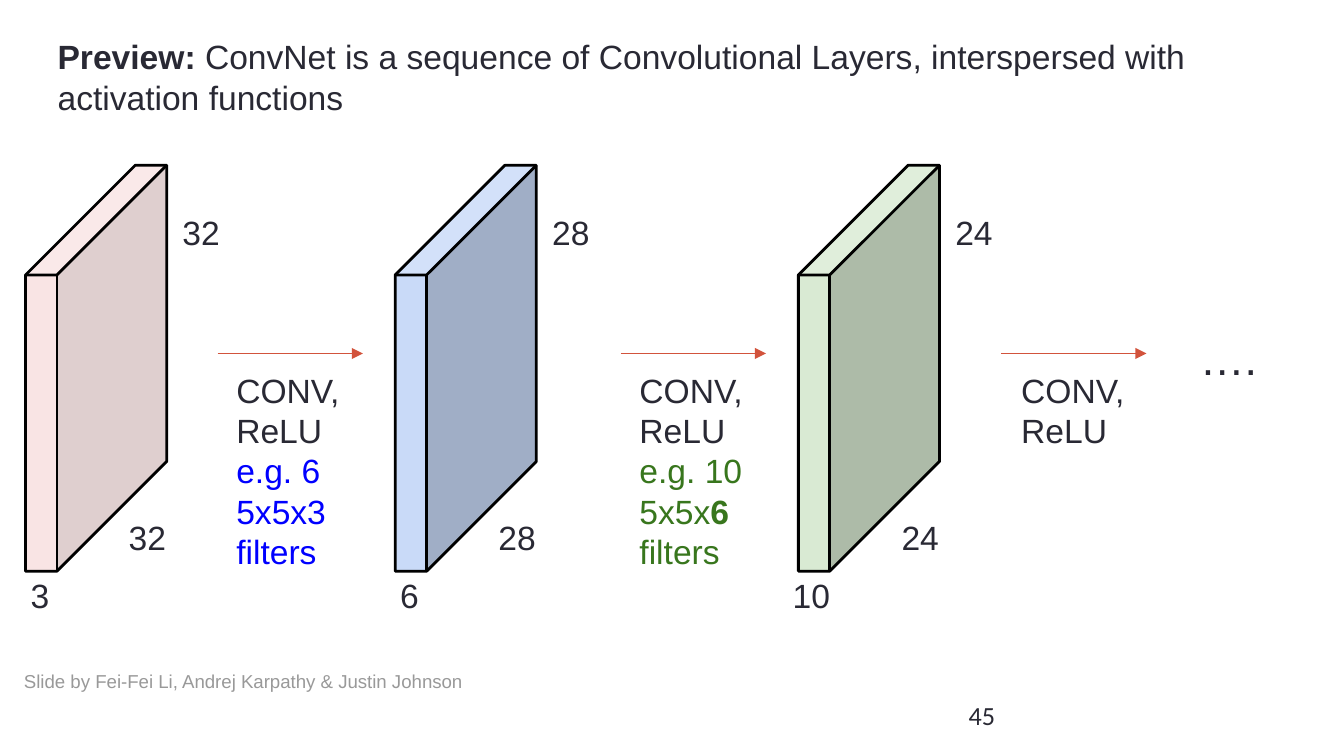
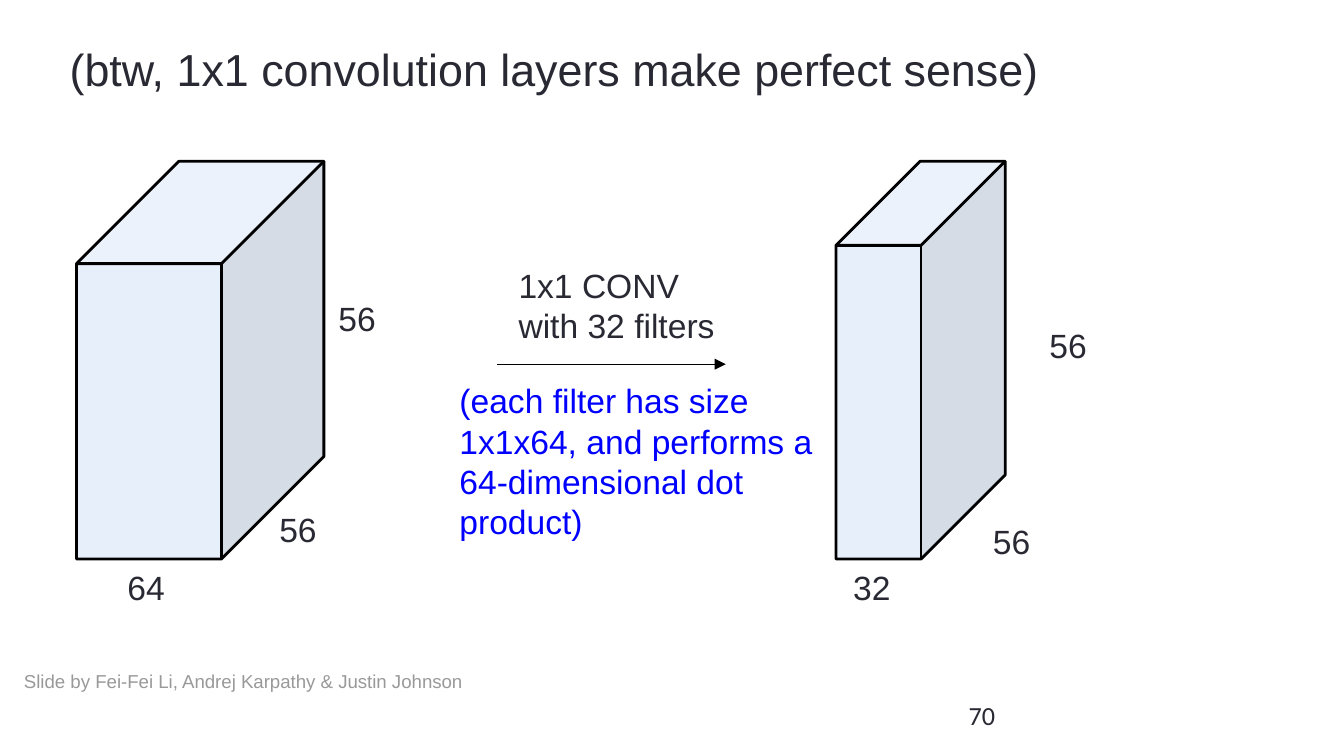
from dataclasses import dataclass

import pptx
import pptx.dml.color
import pptx.enum.shapes
import pptx.enum.text
import pptx.oxml
import pptx.oxml.ns
import pptx.presentation
import pptx.slide
import pptx.util

RGBColor = pptx.dml.color.RGBColor
Anchor = pptx.enum.text.MSO_ANCHOR

INK = RGBColor(0x29, 0x29, 0x34)
CREDIT_GREY = RGBColor(0x99, 0x99, 0x99)
BLACK = RGBColor(0x00, 0x00, 0x00)
ARROW_RED = RGBColor(0xD2, 0x53, 0x3C)
NOTE_BLUE = RGBColor(0x00, 0x00, 0xFF)
NOTE_GREEN = RGBColor(0x38, 0x76, 0x1D)
PINK = RGBColor(0xF4, 0xCC, 0xCC)
BLUE = RGBColor(0xC9, 0xDA, 0xF8)
GREEN = RGBColor(0xD9, 0xEA, 0xD3)

EMU_PER_PX = 9144  # 100 px to the inch
SLIDE_WIDTH = 1000
PADDING = 10
CREDIT = "Slide by Fei-Fei Li, Andrej Karpathy & Justin Johnson"


@dataclass(frozen=True)
class Run:
    text: str
    bold: bool = False
    color: RGBColor | None = None


@dataclass(frozen=True)
class Label:
    text: str
    left: int
    top: int


@dataclass(frozen=True)
class Volume:
    """A block of activations with its depth, side and height labels."""
    left: int
    top: int
    width: int
    height: int
    slant: float
    fill: RGBColor
    labels: tuple[Label, ...]
    opacity: int = 100


@dataclass(frozen=True)
class Step:
    """An arrow between volumes with the operation under it."""
    left: int
    text_left: int
    text_width: int
    filters: tuple[Run, ...] = ()


Paragraph = tuple[Run, ...]


def px(length: int) -> pptx.util.Emu:
    return pptx.util.Emu(length * EMU_PER_PX)


def add_text(slide: pptx.slide.Slide, text: str | list[Paragraph],
             left: int, top: int, width: int, height: int, *,
             size: int = 18, color: RGBColor = INK, font: str = "Arial",
             anchor: Anchor = Anchor.TOP) -> None:
    """Write a string, or paragraphs made of runs, in a padded box."""
    frame = slide.shapes.add_textbox(px(left), px(top), px(width), px(height)).text_frame
    frame.word_wrap = True
    frame.vertical_anchor = anchor
    frame.margin_left = frame.margin_right = px(PADDING)
    frame.margin_top = frame.margin_bottom = px(PADDING)
    paragraphs = [(Run(text),)] if isinstance(text, str) else text
    for index, runs in enumerate(paragraphs):
        paragraph = frame.add_paragraph() if index else frame.paragraphs[0]
        for part in runs:
            run = paragraph.add_run()
            run.text = part.text
            run.font.name = font
            run.font.size = pptx.util.Pt(size)
            run.font.bold = part.bold
            run.font.color.rgb = part.color or color


def add_arrow(slide: pptx.slide.Slide, left: int, right: int, y: int,
              color: RGBColor) -> None:
    arrow = slide.shapes.add_connector(
        pptx.enum.shapes.MSO_CONNECTOR.STRAIGHT, px(left), px(y), px(right), px(y))
    arrow.line.color.rgb = color
    arrow.line.width = pptx.util.Pt(0.75)
    head = pptx.oxml.parse_xml(
        f'<a:tailEnd {pptx.oxml.ns.nsdecls("a")} type="triangle"/>')
    properties = arrow._element.spPr
    properties.find(pptx.oxml.ns.qn("a:ln")).append(head)
    properties.append(pptx.oxml.parse_xml(
        f'<a:effectLst {pptx.oxml.ns.nsdecls("a")}/>'))


def add_volume(slide: pptx.slide.Slide, volume: Volume) -> None:
    cube = slide.shapes.add_shape(
        pptx.enum.shapes.MSO_SHAPE.CUBE, px(volume.left), px(volume.top),
        px(volume.width), px(volume.height))
    cube.adjustments[0] = volume.slant
    cube.shadow.inherit = False
    cube.fill.solid()
    cube.fill.fore_color.rgb = volume.fill
    if volume.opacity < 100:
        color = cube._element.spPr.find(".//" + pptx.oxml.ns.qn("a:srgbClr"))
        color.append(pptx.oxml.parse_xml(
            f'<a:alpha {pptx.oxml.ns.nsdecls("a")} val="{volume.opacity * 1000}"/>'))
    cube.line.color.rgb = BLACK
    cube.line.width = pptx.util.Pt(1.5)
    for label in volume.labels:
        add_text(slide, label.text, label.left, label.top, 54, 36)


def add_base_slide(deck: pptx.presentation.Presentation, number: int) -> pptx.slide.Slide:
    """Add a blank slide with the credit line and slide number."""
    slide = deck.slides.add_slide(deck.slide_layouts[6])
    add_text(slide, CREDIT, 8, 485, 361, 43, size=10, color=CREDIT_GREY,
             anchor=Anchor.MIDDLE)
    add_text(slide, str(number), 711, 510, 60, 44, size=14, font="Calibri",
             anchor=Anchor.MIDDLE)
    return slide


def layer_volume(left: int, fill: RGBColor, side: str, depth: str,
                 depth_left: int, opacity: int = 100) -> Volume:
    """Place a thin layer whose side labels follow its left edge."""
    labels = (Label(side, left + 67, 375), Label(side, left + 107, 148),
              Label(depth, depth_left, 418))
    return Volume(left, 123, 105, 302, 0.777, fill, labels, opacity)


def build_layer_sequence(deck: pptx.presentation.Presentation) -> None:
    slide = add_base_slide(deck, 45)
    title = (Run("Preview: ", bold=True),
             Run("ConvNet is a sequence of Convolutional Layers, "
                 "interspersed with activation functions"))
    add_text(slide, [title], 33, 17, 935, 108)
    layers = (layer_volume(19, PINK, "32", "3", 13, opacity=52),
              layer_volume(294, BLUE, "28", "6", 288),
              layer_volume(594, GREEN, "24", "10", 580))
    for layer in layers:
        add_volume(slide, layer)
    steps = (
        Step(162, 166, 108, (Run("e.g. 6 5x5x3 filters", color=NOTE_BLUE),)),
        Step(462, 466, 116, (Run("e.g. 10 5x5x", color=NOTE_GREEN),
                             Run("6 ", bold=True, color=NOTE_GREEN),
                             Run("filters", color=NOTE_GREEN))),
        Step(745, 750, 108),
    )
    for step in steps:
        add_arrow(slide, step.left, step.left + 108, 263, ARROW_RED)
        operation = [(Run("CONV,"),), (Run("ReLU"),)]
        if step.filters:
            operation.append(step.filters)
        add_text(slide, operation, step.text_left, 265, step.text_width, 43)
    add_text(slide, "….", 883, 236, 105, 39, size=24)


def build_one_by_one(deck: pptx.presentation.Presentation) -> None:
    slide = add_base_slide(deck, 70)
    add_text(slide, "(btw, 1x1 convolution layers make perfect sense)",
             42, 21, 930, 104, size=24)
    volumes = (
        Volume(57, 120, 184, 296, 0.414, BLUE, (
            Label("64", 85, 412), Label("56", 198, 369), Label("56", 242, 212)), 43),
        Volume(622, 120, 126, 296, 0.497, BLUE, (
            Label("32", 625, 412), Label("56", 729, 378), Label("56", 771, 232)), 43),
    )
    for volume in volumes:
        add_volume(slide, volume)
    add_arrow(slide, 370, 540, 271, BLACK)
    add_text(slide, [(Run("1x1 CONV"),), (Run("with 32 filters"),)], 376, 187, 195, 47)
    add_text(slide, "(each filter has size 1x1x64, and performs a "
             "64-dimensional dot product)", 332, 273, 312, 67, color=NOTE_BLUE)


def main() -> None:
    deck = pptx.Presentation()
    deck.slide_width = px(SLIDE_WIDTH)
    deck.slide_height = px(SLIDE_WIDTH) * 9 // 16
    build_layer_sequence(deck)
    build_one_by_one(deck)
    deck.save("out.pptx")


if __name__ == "__main__":
    main()
